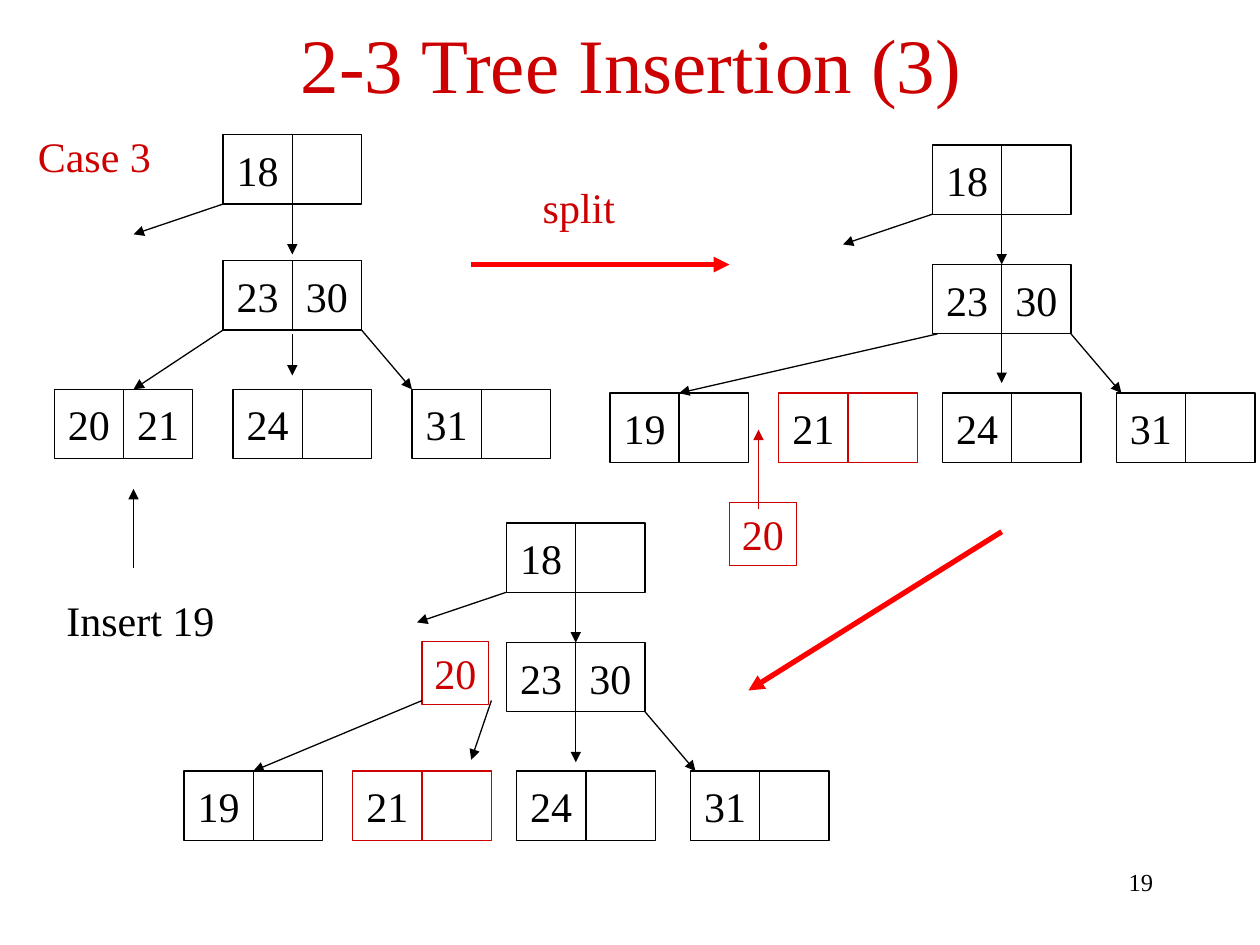
"""Build the 2-3 tree insertion slide: three trees, their arrows and labels."""
from pptx import Presentation
from pptx import util as u
from pptx.dml.color import RGBColor
from pptx.enum import shapes, text
from pptx.oxml.ns import qn
from lxml import etree

BLACK, DARK_RED, RED, WHITE = "000000", "CC0000", "FF0000", "FFFFFF"
CELL = 0.55


def rgb(value):
    return RGBColor.from_string(value)


class SlideBuilder:
    def __init__(self, prs):
        self.s = prs.slides.add_slide(prs.slide_layouts[5])
        self.font = {"name": "Times New Roman", "bold": False}
        self.line_width = 0.75

    def set_words(self, sp, words, size=24, color=BLACK, anchor=text.MSO_ANCHOR.TOP,
                  align=text.PP_ALIGN.CENTER, wrap=False):
        tf = sp.text_frame
        frame = {"word_wrap": wrap, "vertical_anchor": anchor,
                 "auto_size": text.MSO_AUTO_SIZE.NONE}
        for key, value in frame.items():
            setattr(tf, key, value)
        p = tf.paragraphs[0]
        p.alignment = align
        r = p.add_run()
        r.text = words
        for key, value in {**self.font, "size": u.Pt(size)}.items():
            setattr(r.font, key, value)
        r.font.color.rgb = rgb(color)

    def title(self, words, x, y, w, h):
        sp = self.s.shapes.title
        box = {"left": x, "top": y, "width": w, "height": h}
        for key, value in box.items():
            setattr(sp, key, u.Inches(value))
        self.set_words(sp, words, 44, DARK_RED, text.MSO_ANCHOR.MIDDLE, wrap=True)

    def label(self, words, x, y, w, **style):
        sp = self.s.shapes.add_textbox(*map(u.Inches, (x, y, w, 0.5)))
        self.set_words(sp, words, **style)
        return sp

    def box(self, words, x, y, w, h, line=BLACK, parent=None, **style):
        owner = parent or self.s
        sp = owner.shapes.add_shape(shapes.MSO_SHAPE.RECTANGLE,
                                    *map(u.Inches, (x, y, w, h)))
        sp.shadow.inherit = False
        sp.fill.background()
        sp.line.color.rgb = rgb(line)
        sp.line.width = u.Pt(self.line_width)
        if words:
            self.set_words(sp, words, **style)

    def node(self, keys, x, y, line=BLACK):
        group = self.s.shapes.add_group_shape()
        for i, key in enumerate(keys):
            self.box(key, x + i * CELL, y, CELL, CELL, line, group,
                     anchor=text.MSO_ANCHOR.MIDDLE)

    def promoted(self, words, x, y):
        self.box(words, x, y, 0.53, 0.5, DARK_RED, color=DARK_RED)

    def arrow(self, x1, y1, x2, y2, color=BLACK, width=None):
        c = self.s.shapes.add_connector(shapes.MSO_CONNECTOR.STRAIGHT,
                                        *map(u.Inches, (x1, y1, x2, y2)))
        c.line.color.rgb = rgb(color)
        c.line.width = u.Pt(width or self.line_width)
        ln = c._element.spPr.find(qn("a:ln"))
        etree.SubElement(ln, qn("a:tailEnd"), type="triangle")
        etree.SubElement(c._element.spPr, qn("a:effectLst"))

    def tree(self, x, root_y, inner_y, leaves, right_end):
        self.node(("18", ""), x, root_y)
        self.node(("23", "30"), x, inner_y)
        root_base, inner_base = root_y + CELL, inner_y + CELL
        leaf_y = inner_y + 1.02
        for keys, leaf_x, line in leaves:
            self.node(keys, leaf_x, leaf_y, line)
        self.arrow(x, root_base, x - 0.71, root_base + 0.24)
        self.arrow(x + CELL, root_base, x + CELL, root_base + 0.4)
        self.arrow(x + 2 * CELL, inner_base, right_end, leaf_y)


def main():
    prs = Presentation()
    prs.slide_width, prs.slide_height = u.Inches(10), u.Inches(7.5)
    b = SlideBuilder(prs)
    b.title("2-3 Tree Insertion (3)", 0.51, 0, 9, 1)

    b.tree(1.77, 1.07, 2.07, [(("20", "21"), 0.43, BLACK),
                              (("24", ""), 1.85, BLACK),
                              (("31", ""), 3.27, BLACK)], 3.27)
    for x, inner_y, root_y in ((7.4, 2.1, 1.15), (4.02, 5.1, 4.15)):
        leaves = [(("19", ""), x - 2.56, BLACK), (("21", ""), x - 1.22, DARK_RED),
                  (("24", ""), x + 0.08, BLACK), (("31", ""), x + 1.46, BLACK)]
        b.tree(x, root_y, inner_y, leaves, x + 1.5)

    b.promoted("20", 5.79, 3.99)
    b.promoted("20", 3.35, 5.09)

    for ends in ((1.77, 2.62, 1.06, 3.09), (2.32, 2.65, 2.32, 2.98),
                 (7.44, 2.65, 5.39, 3.12), (7.95, 2.65, 7.95, 3.04),
                 (3.35, 5.56, 2.01, 6.12), (3.9, 5.56, 3.74, 6.03),
                 (4.57, 5.65, 4.57, 6.05), (1.06, 4.51, 1.06, 3.88)):
        b.arrow(*ends)
    b.arrow(6.02, 4.04, 6.02, 3.41, DARK_RED)
    b.arrow(3.74, 2.1, 5.79, 2.1, RED, 3)
    b.arrow(7.95, 4.22, 5.94, 5.48, RED, 3)

    b.label("Insert 19", 0.43, 4.67, 1.37)
    b.label("split", 4.21, 1.39, 0.77, color=DARK_RED)
    case = b.label("Case 3", 0.2, 0.99, 1.1, color=DARK_RED)
    case.fill.solid()
    case.fill.fore_color.rgb = rgb(WHITE)
    b.label("19", 7.17, 6.83, 2.08, size=14, align=text.PP_ALIGN.RIGHT, wrap=True)
    prs.save("out.pptx")


if __name__ == "__main__":
    main()
